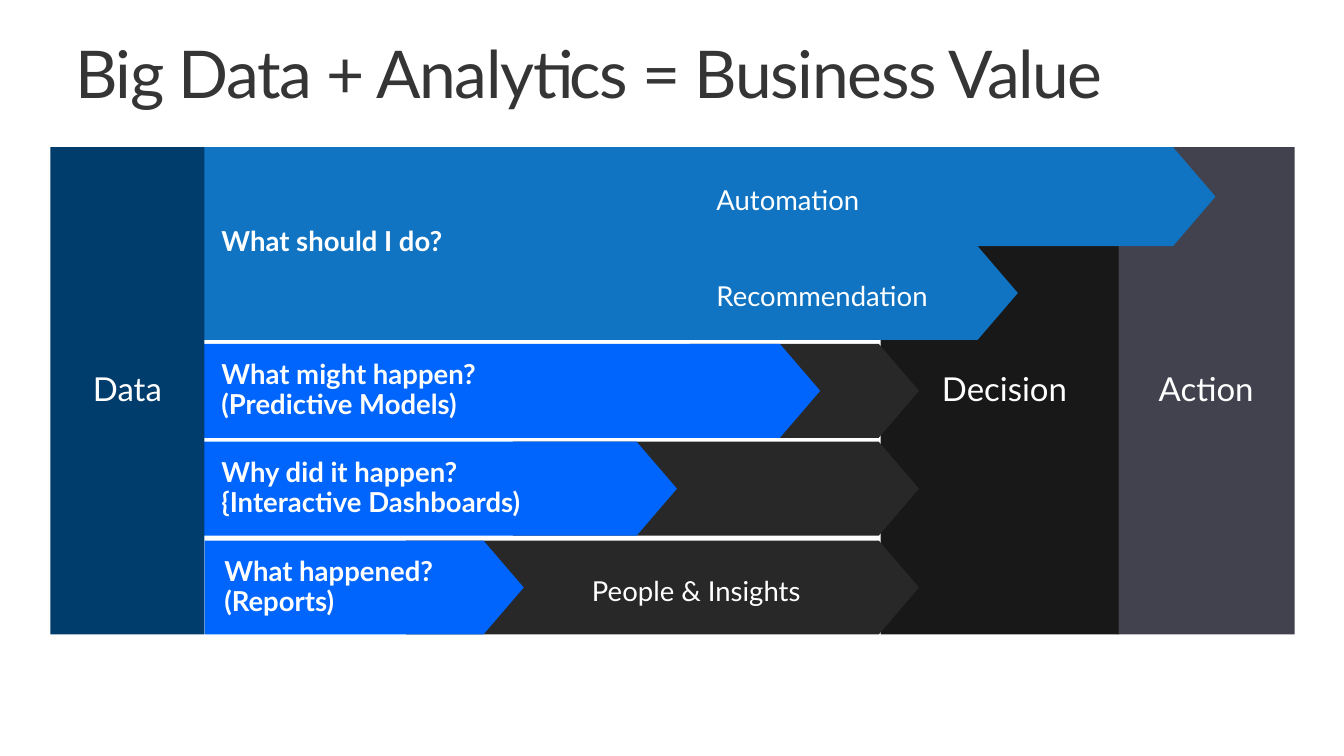
import pptx
import pptx.dml.color
import pptx.enum.shapes
import pptx.enum.text
import pptx.util

Inches = pptx.util.Inches
Pt = pptx.util.Pt
SHAPE = pptx.enum.shapes.MSO_SHAPE
ALIGN = pptx.enum.text.PP_ALIGN
ANCHOR = pptx.enum.text.MSO_ANCHOR

COLORS = {
    "data": "003C6C",
    "decision": "181818",
    "action": "42424E",
    "people": "282828",
    "question": "0065FC",
    "prescribe": "1074C3",
    "title": "353535",
    "white": "FFFFFF",
}
TOP = 1.49
ROW_HEIGHT = 0.95
PEOPLE_END = 9.3

# Top, left, question end, people start, lines
QUESTIONS = [
    (3.48, 2.04, 8.3, 6.98, ["What might happen?", "(Predictive Models)"]),
    (4.47, 2.04, 6.85, 5.19, ["Why did it happen?", "{Interactive Dashboards)"]),
    (5.47, 2.07, 5.3, 4.11, ["What happened?", "(Reports)"]),
]


def rgb(name):
    return pptx.dml.color.RGBColor.from_string(COLORS[name])


def write(frame, lines, size, color="white", bold=False, align=ALIGN.LEFT,
          anchor=ANCHOR.TOP, inset_x=0.2, inset_y=0.16, wrap=True):
    frame.word_wrap = wrap
    frame.vertical_anchor = anchor
    frame.margin_left = frame.margin_right = Inches(inset_x)
    frame.margin_top = frame.margin_bottom = Inches(inset_y)
    for index, line in enumerate(lines):
        paragraph = frame.paragraphs[0] if index == 0 else frame.add_paragraph()
        paragraph.alignment = align
        paragraph.line_spacing = 0.9
        run = paragraph.add_run()
        run.text = line
        run.font.name = "Lato"
        run.font.size = Pt(size)
        run.font.bold = bold
        run.font.color.rgb = rgb(color)


def add_block(slide, kind, left, top, width, height, color):
    block = slide.shapes.add_shape(
        kind, Inches(left), Inches(top), Inches(width), Inches(height))
    block.shadow.inherit = False
    block.fill.solid()
    block.fill.fore_color.rgb = rgb(color)
    block.line.fill.background()
    return block


def add_arrow(slide, left, top, end, height, color):
    arrow = add_block(slide, SHAPE.PENTAGON, left, top, end - left, height, color)
    arrow.adjustments[0] = 0.429
    return arrow


def add_stage(slide, label, left, width, color):
    stage = add_block(slide, SHAPE.RECTANGLE, left, TOP, width, 4.93, color)
    write(stage.text_frame, [label], 24, align=ALIGN.CENTER, anchor=ANCHOR.MIDDLE)
    return stage


def add_label(slide, text, left, top, width, height=0.63, size=20, **style):
    label = slide.shapes.add_textbox(
        Inches(left), Inches(top), Inches(width), Inches(height))
    write(label.text_frame, [text], size, **style)
    return label


def main():
    deck = pptx.Presentation()
    deck.slide_width = Inches(13.6)
    deck.slide_height = Inches(7.65)
    slide = deck.slides.add_slide(deck.slide_layouts[6])

    # Title
    title = add_label(slide, "Big Data + Analytics = Business Value", 0.6, 0.32, 13,
                      height=1, size=48, color="title", inset_x=0.16, inset_y=0.1)
    title.text_frame.paragraphs[0].runs[0].font._element.set("spc", "-100")

    # Outcome stages
    add_stage(slide, "Action", 11.31, 1.79, "action")
    decision = add_stage(slide, "Decision", 8.91, 2.41, "decision")
    decision.text_frame.margin_left = Inches(0.3)

    # Questions that people turn into decisions
    for top, left, question_end, people_start, lines in QUESTIONS:
        add_arrow(slide, people_start, top, PEOPLE_END, ROW_HEIGHT, "people")
        question = add_arrow(slide, left, top, question_end, ROW_HEIGHT, "question")
        write(question.text_frame, lines, 20, bold=True, anchor=ANCHOR.MIDDLE)
    add_label(slide, "People & Insights", 5.79, 5.7, 3.68)

    # Recommendation and automation
    add_arrow(slide, 2.04, 2.49, 10.3, ROW_HEIGHT, "prescribe")
    add_arrow(slide, 2.04, TOP, 12.3, 1, "prescribe")
    prescribe = add_block(slide, SHAPE.RECTANGLE, 2.04, TOP, 4.5, 1.94, "prescribe")
    write(prescribe.text_frame, ["What should I do?"], 20, bold=True,
          anchor=ANCHOR.MIDDLE)
    add_label(slide, "Automation", 7.05, 1.74, 1.87, wrap=False)
    add_label(slide, "Recommendation", 7.05, 2.71, 2.59, wrap=False)

    # Data source, over the arrow tails
    add_stage(slide, "Data", 0.51, 1.56, "data")

    deck.save("out.pptx")


if __name__ == "__main__":
    main()
